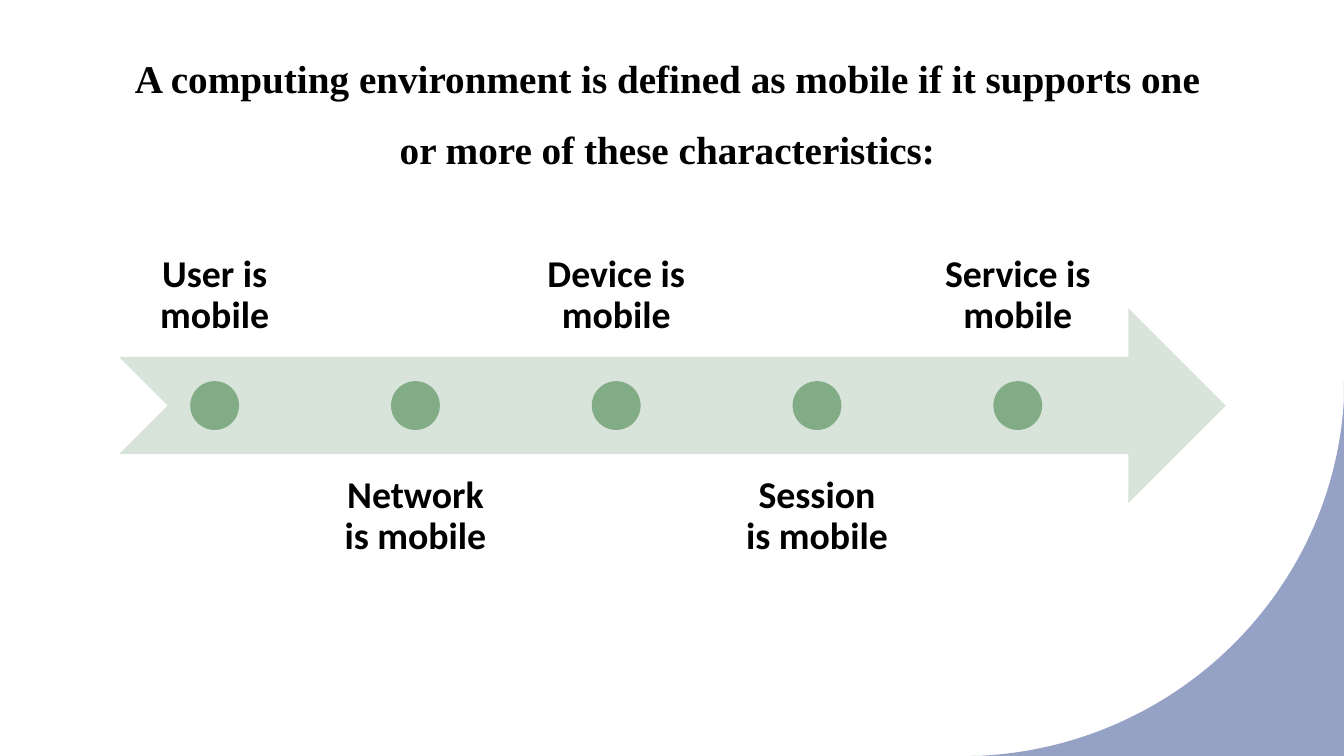
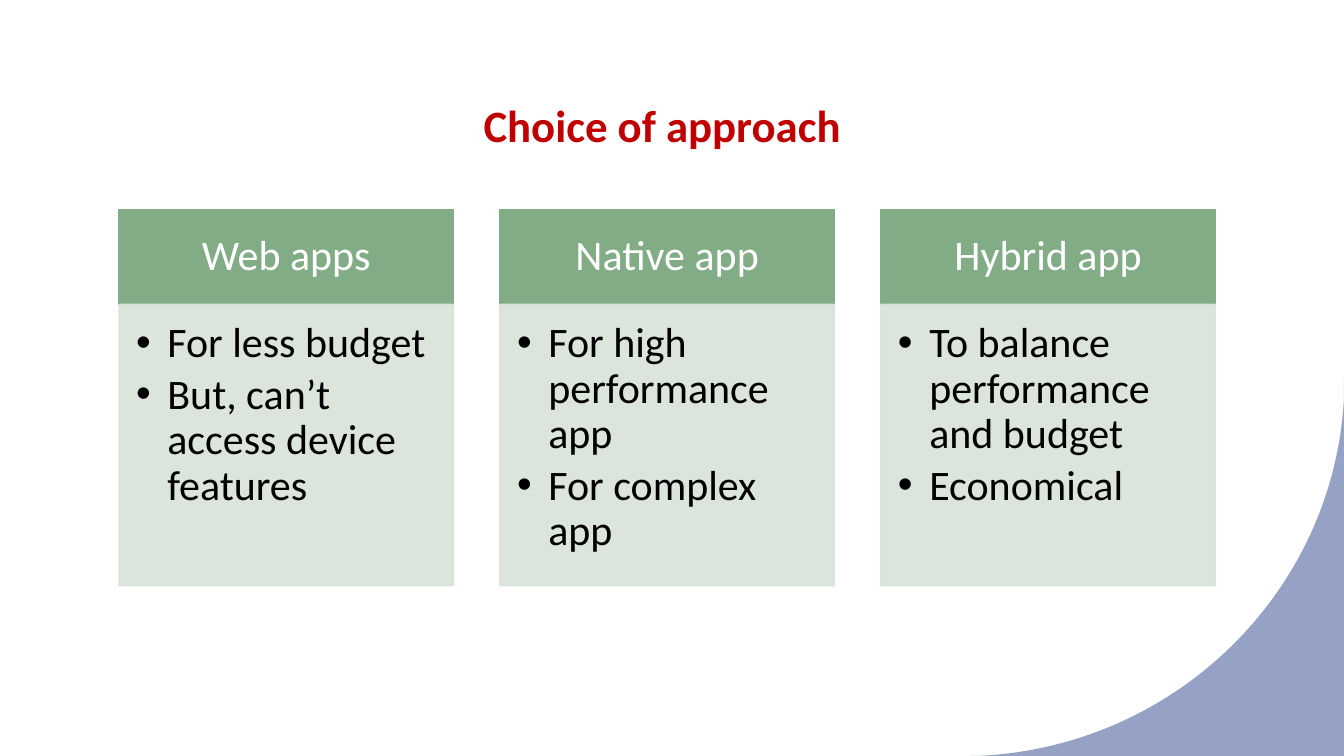
"""Build two slides on mobile computing: its characteristics and the choice of approach."""
from dataclasses import dataclass
from typing import Any

from lxml.etree import SubElement
from pptx import Presentation
from pptx.dml.color import RGBColor
from pptx.enum.shapes import MSO_SHAPE as Preset
from pptx.enum.text import MSO_ANCHOR as Anchor, PP_ALIGN as Align
from pptx.oxml.ns import qn
from pptx.util import Cm, Pt

BLACK = RGBColor(0x00, 0x00, 0x00)
WHITE = RGBColor(0xFF, 0xFF, 0xFF)
RED = RGBColor(0xC0, 0x00, 0x00)
GREEN = RGBColor(0x81, 0xAC, 0x86)
PALE_GREEN = RGBColor(0xD8, 0xE3, 0xD9)
PERIWINKLE = RGBColor(0x96, 0xA1, 0xC6)

PAGE_WIDTH, PAGE_HEIGHT = 33.87, 19.05
MARGIN = 3.0
TITLE_WIDTH = 27.64
CORNER_TOP, CORNER_LEFT = 9.6, 24.46
CORNER_CURVE = ((24.66, 19.05), (29.64, 18.82), (33.6, 14.91), (33.87, 10.06))
CURVE_STEPS = 60

ARROW_TOP, ARROW_WIDTH, ARROW_HEIGHT = 7.77, 27.89, 4.9
DOT_SIZE, DOT_PITCH, FIRST_DOT_X = 1.23, 5.06, 5.41
LABEL_WIDTH, LABEL_ABOVE, LABEL_BELOW = 4.83, 4.11, 11.46

CARD_TOP, CARD_WIDTH, CARD_PITCH = 5.28, 8.43, 9.67
HEADER_HEIGHT, BODY_HEIGHT = 2.39, 7.09
BULLET_INDENT = 0.79


@dataclass(frozen=True)
class Area:
    """Position and size in centimetres."""

    left: float
    top: float
    width: float
    height: float

    def lengths(self) -> tuple[Cm, Cm, Cm, Cm]:
        """Return the four lengths for python-pptx."""
        return Cm(self.left), Cm(self.top), Cm(self.width), Cm(self.height)


@dataclass(frozen=True)
class TextStyle:
    """Look of the text in one box."""

    size: float
    color: RGBColor = BLACK
    name: str = "Calibri"
    bold: bool = False
    align: Align = Align.CENTER
    anchor: Anchor = Anchor.TOP
    spacing: float = 0.9
    insets: tuple[float, float, float, float] = (0.25, 0.13, 0.25, 0.13)
    bulleted: bool = False


@dataclass(frozen=True)
class Card:
    """Heading and bullet points of one approach."""

    heading: str
    points: tuple[str, ...]


CHARACTERISTICS = ("User", "Network", "Device", "Session", "Service")
CARDS = (
    Card("Web apps", ("For less budget", "But, can’t access device features")),
    Card("Native app", ("For high performance app", "For complex app")),
    Card("Hybrid app", ("To balance performance and budget", "Economical")),
)

LABEL_INSETS = (0.53, 0.53, 0.53, 0.53)
LABEL_ABOVE_STYLE = TextStyle(27, bold=True, anchor=Anchor.BOTTOM, insets=LABEL_INSETS)
LABEL_BELOW_STYLE = TextStyle(27, bold=True, insets=LABEL_INSETS)
HEADER_STYLE = TextStyle(30, WHITE, anchor=Anchor.MIDDLE, insets=(0.58, 0.33, 0.58, 0.33))
BODY_STYLE = TextStyle(30, align=Align.LEFT, insets=(0.43, 0.43, 0.58, 0.66), bulleted=True)
QUESTION_STYLE = TextStyle(28, name="Times New Roman", bold=True, anchor=Anchor.BOTTOM, spacing=1.5)
CHOICE_STYLE = TextStyle(32, RED, bold=True, anchor=Anchor.BOTTOM, spacing=1.1)


def apply_format(target: Any, values: dict[str, Any]) -> None:
    """Set each named attribute on the target."""
    for name, value in values.items():
        setattr(target, name, value)


def add_bullet(para: Any) -> None:
    """Give a paragraph a hanging round bullet."""
    properties = para._p.get_or_add_pPr()
    properties.set("marL", str(Cm(BULLET_INDENT)))
    properties.set("indent", str(-Cm(BULLET_INDENT)))
    SubElement(properties, qn("a:buFont")).set("typeface", "Arial")
    SubElement(properties, qn("a:buChar")).set("char", "•")


def write_text(box: Any, lines: tuple[str, ...], style: TextStyle) -> None:
    """Write one paragraph per line in the given style."""
    frame = box.text_frame
    left, top, right, bottom = map(Cm, style.insets)
    apply_format(frame, {
        "word_wrap": True, "vertical_anchor": style.anchor,
        "margin_left": left, "margin_top": top,
        "margin_right": right, "margin_bottom": bottom,
    })
    for index, line in enumerate(lines):
        para = frame.paragraphs[0] if index == 0 else frame.add_paragraph()
        apply_format(para, {"alignment": style.align, "line_spacing": style.spacing})
        if style.bulleted:
            para.space_after = Pt(4.5)
            add_bullet(para)
        span = para.add_run()
        span.text = line
        apply_format(span.font, {"name": style.name, "size": Pt(style.size), "bold": style.bold})
        span.font.color.rgb = style.color


def add_text(page: Any, area: Area, text: str, style: TextStyle) -> None:
    """Add a text box with one paragraph."""
    write_text(page.shapes.add_textbox(*area.lengths()), (text,), style)


def paint(shape: Any, color: RGBColor) -> None:
    """Fill a shape plainly, with no outline or shadow."""
    shape.shadow.inherit = False
    shape.fill.solid()
    shape.fill.fore_color.rgb = color
    shape.line.fill.background()


def add_preset(page: Any, preset: Preset, area: Area, color: RGBColor) -> Any:
    """Add a plainly filled preset shape."""
    shape = page.shapes.add_shape(preset, *area.lengths())
    paint(shape, color)
    return shape


def add_panel(page: Any, area: Area, color: RGBColor, lines: tuple[str, ...],
              style: TextStyle, opacity: int = 100) -> None:
    """Add an outlined rectangle that holds text."""
    panel = add_preset(page, Preset.RECTANGLE, area, color)
    panel.line.color.rgb = color
    panel.line.width = Pt(1)
    if opacity < 100:
        for tone in panel._element.spPr.iter(qn("a:srgbClr")):
            SubElement(tone, qn("a:alpha")).set("val", str(opacity * 1000))
    write_text(panel, lines, style)


def curve_point(step: int) -> tuple[Cm, Cm]:
    """Return a point on the corner's cubic curve."""
    t = step / CURVE_STEPS
    weights = ((1 - t) ** 3, 3 * t * (1 - t) ** 2, 3 * t ** 2 * (1 - t), t ** 3)
    x, y = (sum(w * p for w, p in zip(weights, axis)) for axis in zip(*CORNER_CURVE))
    return Cm(x), Cm(y)


def add_page(deck: Any, title: str, area: Area, style: TextStyle) -> Any:
    """Add a blank page with the corner sweep and a title."""
    page = deck.slides.add_slide(deck.slide_layouts[6])
    builder = page.shapes.build_freeform(Cm(PAGE_WIDTH), Cm(CORNER_TOP))
    base = [(Cm(PAGE_WIDTH), Cm(PAGE_HEIGHT)), (Cm(CORNER_LEFT), Cm(PAGE_HEIGHT))]
    builder.add_line_segments(base + [curve_point(step) for step in range(CURVE_STEPS + 1)])
    paint(builder.convert_to_shape(), PERIWINKLE)
    add_text(page, area, title, style)
    return page


def add_characteristics(deck: Any) -> None:
    """Add the arrow of mobile characteristics."""
    page = add_page(
        deck,
        "A computing environment is defined as mobile if it supports one or more of these characteristics:",
        Area(MARGIN, 0.74, TITLE_WIDTH, 3.73), QUESTION_STYLE)
    add_preset(page, Preset.NOTCHED_RIGHT_ARROW,
               Area(MARGIN, ARROW_TOP, ARROW_WIDTH, ARROW_HEIGHT), PALE_GREEN)
    dot_top = ARROW_TOP + (ARROW_HEIGHT - DOT_SIZE) / 2
    for index, subject in enumerate(CHARACTERISTICS):
        center = FIRST_DOT_X + index * DOT_PITCH
        above = index % 2 == 0
        label_top = LABEL_ABOVE if above else LABEL_BELOW
        add_text(page, Area(center - LABEL_WIDTH / 2, label_top, LABEL_WIDTH, ARROW_HEIGHT),
                 f"{subject} is mobile", LABEL_ABOVE_STYLE if above else LABEL_BELOW_STYLE)
        add_preset(page, Preset.OVAL,
                   Area(center - DOT_SIZE / 2, dot_top, DOT_SIZE, DOT_SIZE), GREEN)


def add_approaches(deck: Any) -> None:
    """Add the three cards of approaches."""
    page = add_page(deck, "Choice of approach ", Area(MARGIN, 2.0, TITLE_WIDTH, 1.96), CHOICE_STYLE)
    for index, card in enumerate(CARDS):
        left = MARGIN + index * CARD_PITCH - index * 0.07
        add_panel(page, Area(left, CARD_TOP, CARD_WIDTH, HEADER_HEIGHT),
                  GREEN, (card.heading,), HEADER_STYLE)
        add_panel(page, Area(left, CARD_TOP + HEADER_HEIGHT, CARD_WIDTH, BODY_HEIGHT),
                  PALE_GREEN, card.points, BODY_STYLE, opacity=90)


def main() -> None:
    """Build and save the deck."""
    deck = Presentation()
    apply_format(deck, {"slide_width": Cm(PAGE_WIDTH), "slide_height": Cm(PAGE_HEIGHT)})
    add_characteristics(deck)
    add_approaches(deck)
    deck.save("out.pptx")


if __name__ == "__main__":
    main()
